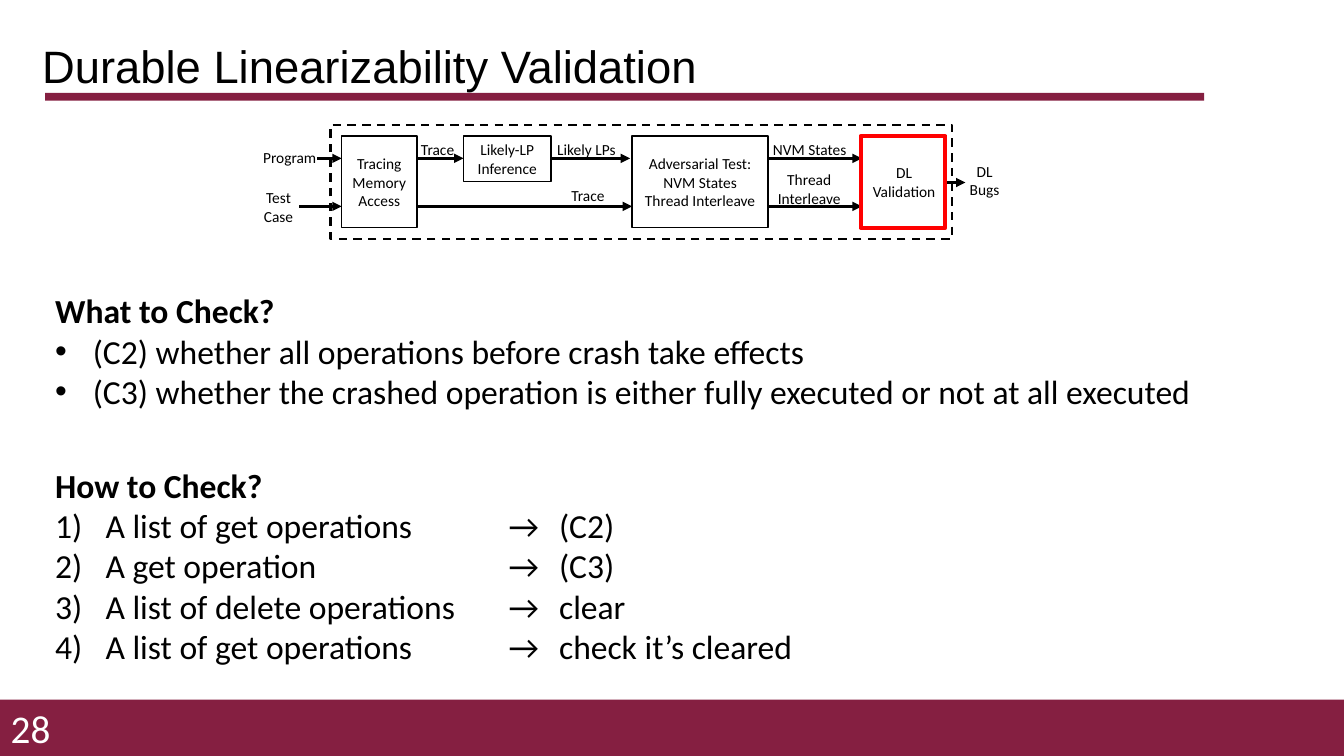
"""Build the Durable Linearizability Validation slide."""
from lxml import etree
from pptx import Presentation
from pptx.dml.color import RGBColor
from pptx.enum import dml, shapes, text
from pptx.oxml import ns
from pptx.util import Cm, Pt

MAROON = RGBColor(0x85, 0x1F, 0x41)
BLACK = RGBColor(0, 0, 0)
WHITE = RGBColor(0xFF, 0xFF, 0xFF)
RED = RGBColor(0xFF, 0, 0)
LEFT, CENTER, RIGHT = text.PP_ALIGN.LEFT, text.PP_ALIGN.CENTER, text.PP_ALIGN.RIGHT


def write(sp, content, size, align=LEFT, color=BLACK, font="Calibri"):
    tf = sp.text_frame
    tf.text = content
    for p in tf.paragraphs:
        p.alignment = align
        for r in p.runs:
            r.font.size, r.font.name, r.font.color.rgb = Pt(size), font, color
    return tf


def add_rect(box, fill=None, line=None, width=1):
    sp = slide.shapes.add_shape(shapes.MSO_SHAPE.RECTANGLE, *map(Cm, box))
    sp.shadow.inherit = False
    if fill is None:
        sp.fill.background()
    else:
        sp.fill.solid()
        sp.fill.fore_color.rgb = fill
    if line is None:
        sp.line.fill.background()
    else:
        sp.line.color.rgb = line
        sp.line.width = Pt(width)
    return sp


prs = Presentation()
prs.slide_width, prs.slide_height = Cm(33.87), Cm(19.05)
slide = prs.slides.add_slide(prs.slide_layouts[5])

add_rect((0, 17.63, 33.87, 1.42), MAROON)
add_rect((1.14, 2.34, 29.21, 0.2), MAROON)

title = slide.shapes.title
title.left, title.top, title.width, title.height = Cm(0.81), Cm(1.02), Cm(29.21), Cm(1.42)
tf = write(title, "Durable Linearizability Validation", 32.4, font="Arial")
tf.auto_size = text.MSO_AUTO_SIZE.NONE
tf.vertical_anchor = text.MSO_ANCHOR.MIDDLE
tf.paragraphs[0].line_spacing = 0.9

number = slide.shapes.add_textbox(Cm(-0.28), Cm(17.83), Cm(1.8), Cm(1.02))
tf = write(number, "28", 28, RIGHT, WHITE)
tf.word_wrap = True
tf.vertical_anchor = text.MSO_ANCHOR.MIDDLE

sections = [
    (7.19, 3.33, 0.95, "a:buChar", {"char": "•"}, [
        "What to Check?",
        "(C2) whether all operations before crash take effects",
        "(C3) whether the crashed operation is either fully executed or not at all executed",
    ]),
    (11.58, 5.38, 1.27, "a:buAutoNum", {"type": "arabicParenR"}, [
        "How to Check?",
        "A list of get operations\t\t→\t(C2)",
        "A get operation\t\t\t\t→\t(C3)",
        "A list of delete operations\t\t→\tclear",
        "A list of get operations\t\t→\tcheck it’s cleared",
    ]),
]
for top, height, indent, bullet, attrs, lines in sections:
    sp = slide.shapes.add_textbox(Cm(1.14), Cm(top), Cm(31.93), Cm(height))
    tf = write(sp, "\n".join(lines), 24)
    tf.word_wrap = True
    heading, *items = tf.paragraphs
    heading.runs[0].font.bold = True
    for p in items:
        pPr = p._p.get_or_add_pPr()
        pPr.set("marL", str(Cm(indent)))
        pPr.set("indent", str(-Cm(indent)))
        pPr.set("defTabSz", str(Cm(1.27)))
        etree.SubElement(pPr, ns.qn("a:buFont"), typeface="Arial" if bullet == "a:buChar" else "+mj-lt")
        etree.SubElement(pPr, ns.qn(bullet), attrs)

labels = [
    ("Program", 6.38, 3.61, 1.88),
    ("Test\nCase", 6.4, 4.62, 1.24),
    ("Trace", 10.36, 3.4, 1.4),
    ("Likely LPs", 13.79, 3.4, 2.01),
    ("Trace", 14.15, 4.57, 1.4),
    ("NVM States", 19.23, 3.4, 2.39),
    ("Thread\nInterleave", 19.33, 4.17, 2.13),
    ("DL\nBugs", 24.18, 3.96, 1.27),
]
for label, x, y, w in labels:
    two_lines = "\n" in label
    sp = slide.shapes.add_textbox(Cm(x), Cm(y), Cm(w), Cm(1.19 if two_lines else 0.74))
    tf = write(sp, label, 11, CENTER if two_lines else LEFT)
    tf.word_wrap = False

UPPER, MIDDLE, LOWER = 3.99, 4.6, 5.2
arrows = [
    (8, 8.61, UPPER), (10.11, 11.68, UPPER), (13.72, 15.88, UPPER), (19.3, 21.72, UPPER),
    (7.54, 8.61, LOWER), (9.88, 15.93, LOWER), (19.3, 21.72, LOWER),
    (21.92, 24.33, MIDDLE),
]
for x1, x2, y in arrows:
    arrow = slide.shapes.add_connector(shapes.MSO_CONNECTOR.STRAIGHT, Cm(x1), Cm(y), Cm(x2), Cm(y))
    arrow.line.color.rgb = BLACK
    arrow.line.width = Pt(2.25)
    etree.SubElement(arrow.line._get_or_add_ln(), ns.qn("a:tailEnd"), type="triangle")
    etree.SubElement(arrow._element.spPr, ns.qn("a:effectLst"))

stages = [
    ("Tracing\nMemory\nAccess", 8.61, 1.9, 2.31),
    ("Likely-LP\nInference", 11.68, 2.21, 1.14),
    ("Adversarial Test:\nNVM States\nThread Interleave", 15.93, 3.43, 2.31),
    ("DL\nValidation", 21.72, 2.13, 2.31),
]
for name, x, w, h in stages:
    sp = add_rect((x, 3.43, w, h), WHITE, BLACK)
    tf = write(sp, name, 11, CENTER)
    tf.margin_left = tf.margin_right = Cm(0.1)
    tf.vertical_anchor = text.MSO_ANCHOR.MIDDLE

frame = add_rect((8.33, 3.15, 15.67, 2.87), line=BLACK, width=1.5)
frame.line.dash_style = dml.MSO_LINE.DASH
add_rect((21.69, 3.43, 2.13, 2.31), line=RED, width=3)

prs.save("out.pptx")
